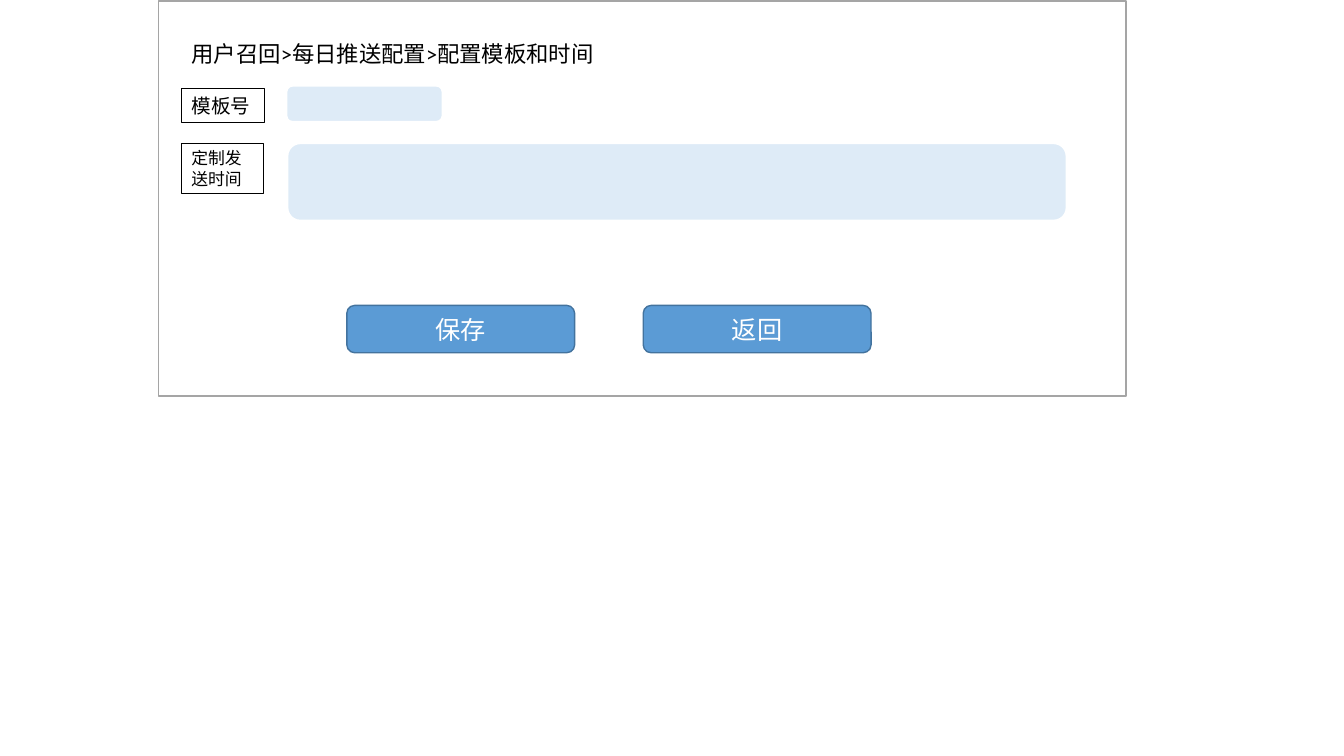
from dataclasses import dataclass
from typing import Optional

from pptx import Presentation
from pptx.dml.color import RGBColor
from pptx.enum.shapes import MSO_SHAPE
from pptx.enum.text import MSO_ANCHOR, MSO_AUTO_SIZE, PP_ALIGN
from pptx.util import Inches, Pt

RECT, ROUNDED = MSO_SHAPE.RECTANGLE, MSO_SHAPE.ROUNDED_RECTANGLE
TOP, MIDDLE = MSO_ANCHOR.TOP, MSO_ANCHOR.MIDDLE
LEFT, CENTER = PP_ALIGN.LEFT, PP_ALIGN.CENTER
NO_FIT = MSO_AUTO_SIZE.NONE
TITLE_ONLY = 5


@dataclass(frozen=True)
class Theme:
    font: str = "Calibri"
    white: str = "FFFFFF"
    black: str = "000000"
    frame: str = "A5A5A5"
    field: str = "DEEBF7"
    button: str = "5B9BD5"
    button_edge: str = "43739E"
    breadcrumb_size: float = 16
    button_size: float = 18


@dataclass(frozen=True)
class Box:
    left: float
    top: float
    width: float
    height: float

    def inches(self):
        return [Inches(v) for v in (self.left, self.top, self.width, self.height)]


@dataclass(frozen=True)
class FormRow:
    label: str
    label_size: float
    label_box: Box
    field_box: Box


THEME = Theme()
PANEL = Box(1.57, 0.01, 9.6, 3.92)
BREADCRUMB = Box(1.8, 0.23, 5.38, 0.64)
FORM_ROWS = [
    FormRow("模板号", 14, Box(1.8, 0.88, 0.82, 0.34), Box(2.84, 0.85, 1.55, 0.36)),
    FormRow("定制发送时间", 12, Box(1.8, 1.42, 0.81, 0.5), Box(2.85, 1.42, 7.73, 0.77)),
]
BUTTONS = ["保存", "返回"]
FIRST_BUTTON = Box(3.44, 3.03, 2.26, 0.47)
BUTTON_PITCH = 2.94


def write(shape, text: str, *, size: float, color: str = THEME.black,
          align=LEFT, anchor=MIDDLE, spacing: float = 1.0) -> None:
    frame = shape.text_frame
    frame.word_wrap = True
    frame.auto_size = NO_FIT
    frame.vertical_anchor = anchor
    paragraph = frame.paragraphs[0]
    paragraph.alignment = align
    paragraph.line_spacing = spacing
    run = paragraph.add_run()
    run.text = text
    run.font.name = THEME.font
    run.font.size = Pt(size)
    run.font.color.rgb = RGBColor.from_string(color)


def draw_box(slide, kind, box: Box, fill: Optional[str], line: str, weight: float):
    shape = slide.shapes.add_shape(kind, *box.inches())
    shape.shadow.inherit = False
    if fill:
        shape.fill.solid()
        shape.fill.fore_color.rgb = RGBColor.from_string(fill)
    else:
        shape.fill.background()
    shape.line.color.rgb = RGBColor.from_string(line)
    shape.line.width = Pt(weight)
    return shape


def draw_breadcrumb(slide) -> None:
    title = slide.shapes.title
    title.left, title.top, title.width, title.height = BREADCRUMB.inches()
    write(title, "用户召回>每日推送配置>配置模板和时间",
          size=THEME.breadcrumb_size, spacing=0.9)


def draw_form_row(slide, row: FormRow) -> None:
    draw_box(slide, ROUNDED, row.field_box, THEME.field, THEME.white, 1.5)
    label = draw_box(slide, RECT, row.label_box, None, THEME.black, 0.75)
    write(label, row.label, size=row.label_size, anchor=TOP)


def draw_button(slide, caption: str, index: int) -> None:
    first = FIRST_BUTTON
    box = Box(first.left + index * BUTTON_PITCH, first.top, first.width, first.height)
    button = draw_box(slide, ROUNDED, box, THEME.button, THEME.button_edge, 1)
    write(button, caption, size=THEME.button_size, color=THEME.white, align=CENTER)


def main() -> None:
    prs = Presentation()
    prs.slide_width, prs.slide_height = Inches(13.33), Inches(7.5)
    slide = prs.slides.add_slide(prs.slide_layouts[TITLE_ONLY])

    # Panel, placed behind the title
    panel = draw_box(slide, RECT, PANEL, THEME.white, THEME.frame, 1)
    slide.shapes.title.element.addprevious(panel.element)
    draw_breadcrumb(slide)

    # Form fields with their labels
    for row in FORM_ROWS:
        draw_form_row(slide, row)

    # Action buttons
    for index, caption in enumerate(BUTTONS):
        draw_button(slide, caption, index)

    prs.save("out.pptx")


if __name__ == "__main__":
    main()
